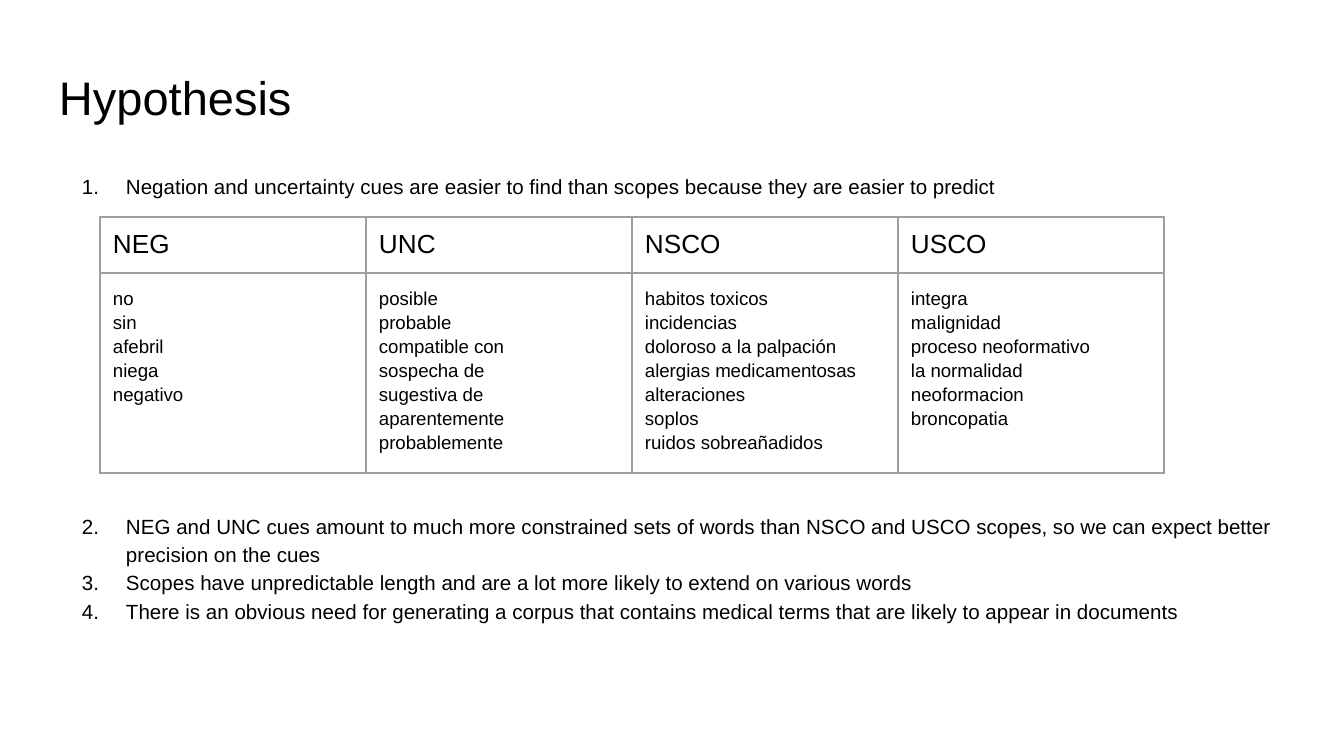
from lxml import etree
from pptx import Presentation
from pptx.dml.color import RGBColor
from pptx.enum.text import MSO_ANCHOR, MSO_AUTO_SIZE, PP_ALIGN
from pptx.oxml.ns import qn
from pptx.util import Emu, Pt

TOP = MSO_ANCHOR.TOP
BOTTOM = MSO_ANCHOR.BOTTOM
LEFT = PP_ALIGN.LEFT
NO_AUTOFIT = MSO_AUTO_SIZE.NONE
BLACK = RGBColor(0x00, 0x00, 0x00)
GREY = RGBColor(0x9E, 0x9E, 0x9E)
EMU_PER_PX = 914400 / 134.4
INSET = 13


def px(length):
    return Emu(round(length * EMU_PER_PX))


def write(para, text, size, line_spacing=1.0, space_before=0):
    para.text = text
    layout = {
        "alignment": LEFT,
        "line_spacing": line_spacing,
        "space_before": Pt(space_before),
        "space_after": Pt(0),
    }
    for name, value in layout.items():
        setattr(para, name, value)
    font = para.runs[0].font
    for name, value in {"name": "Arial", "size": Pt(size), "bold": False}.items():
        setattr(font, name, value)
    font.color.rgb = BLACK


deck = Presentation()
deck.slide_width, deck.slide_height = px(1344), px(756)
page = deck.slides.add_slide(deck.slide_layouts[1])
title, body = page.placeholders

boxes = [
    (title, (46, 54, 1252, 84), INSET, BOTTOM),
    (body, (46, 91, 1252, 629), 79, TOP),
]
for box, bounds, top_inset, anchor in boxes:
    for name, value in zip(("left", "top", "width", "height"), bounds):
        setattr(box, name, px(value))
    frame_format = {
        "margin_left": px(INSET),
        "margin_right": px(INSET),
        "margin_top": px(top_inset),
        "margin_bottom": px(INSET),
        "vertical_anchor": anchor,
        "auto_size": NO_AUTOFIT,
        "word_wrap": True,
    }
    for name, value in frame_format.items():
        setattr(box.text_frame, name, value)

write(title.text_frame.paragraphs[0], "Hypothesis", 25.2)

TABLE_GAP = 167
points = [
    ("Negation and uncertainty cues are easier to find than scopes because they are easier to predict", 0),
    ("NEG and UNC cues amount to much more constrained sets of words than NSCO and USCO scopes, "
     "so we can expect better precision on the cues", TABLE_GAP),
    ("Scopes have unpredictable length and are a lot more likely to extend on various words", 0),
    ("There is an obvious need for generating a corpus that contains medical terms "
     "that are likely to appear in documents", 0),
]
for index, (text, gap) in enumerate(points):
    frame = body.text_frame
    para = frame.add_paragraph() if index else frame.paragraphs[0]
    write(para, text, 11, 1.15, gap)
    properties = para._p.get_or_add_pPr()
    properties.set("marL", str(px(67)))
    properties.set("indent", str(px(-44)))
    etree.SubElement(properties, qn("a:buFont"), typeface="Arial")
    etree.SubElement(properties, qn("a:buAutoNum"), type="arabicPeriod")

examples = {
    "NEG": ["no", "sin", "afebril", "niega", "negativo"],
    "UNC": ["posible", "probable", "compatible con", "sospecha de",
            "sugestiva de", "aparentemente", "probablemente"],
    "NSCO": ["habitos toxicos", "incidencias", "doloroso a la palpación",
             "alergias medicamentosas", "alteraciones", "soplos", "ruidos sobreañadidos"],
    "USCO": ["integra", "malignidad", "proceso neoformativo",
             "la normalidad", "neoformacion", "broncopatia"],
}
row_heights = [56, 200]
table = page.shapes.add_table(
    len(row_heights), len(examples), px(100), px(217), px(266 * len(examples)), px(sum(row_heights))
).table
table.first_row = False
table.horz_banding = False
for row, height in zip(table.rows, row_heights):
    row.height = px(height)

for column, (label, words) in enumerate(examples.items()):
    table.columns[column].width = px(266)
    for row, (lines, size, spacing) in enumerate([([label], 14, 1.0), (words, 10, 1.15)]):
        cell = table.cell(row, column)
        for side in ("left", "right", "top", "bottom"):
            setattr(cell, f"margin_{side}", px(INSET))
        cell.vertical_anchor = TOP
        for index, line in enumerate(lines):
            frame = cell.text_frame
            para = frame.add_paragraph() if index else frame.paragraphs[0]
            write(para, line, size, spacing)
        properties = cell._tc.get_or_add_tcPr()
        for edge in ("a:lnL", "a:lnR", "a:lnT", "a:lnB"):
            border = etree.SubElement(properties, qn(edge), w=str(Pt(0.75)))
            fill = etree.SubElement(border, qn("a:solidFill"))
            etree.SubElement(fill, qn("a:srgbClr"), val=str(GREY))
        cell.fill.background()

deck.save("out.pptx")
